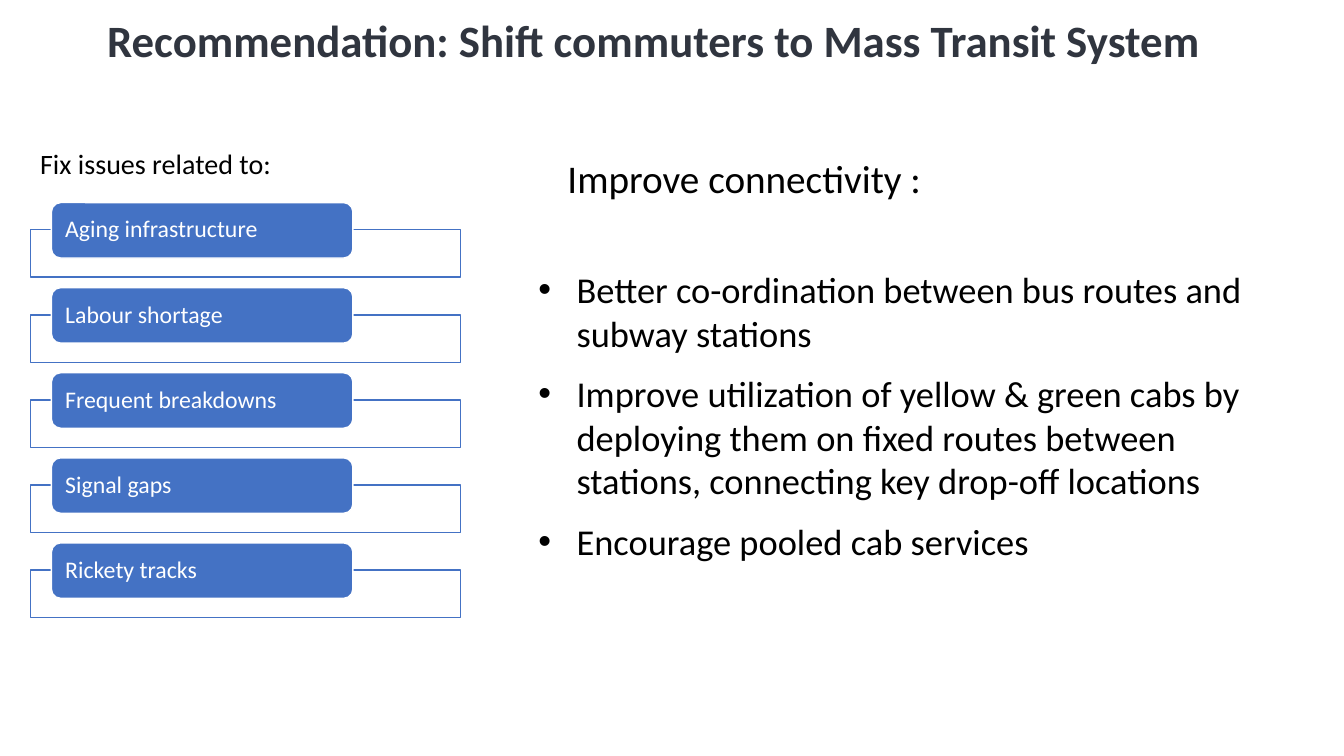
import pptx
import pptx.util
import pptx.dml.color
import pptx.enum.shapes
import pptx.enum.text
import pptx.oxml.ns
from lxml import etree

Inches = pptx.util.Inches
Pt = pptx.util.Pt
SHAPES = pptx.enum.shapes.MSO_SHAPE
ALIGN = pptx.enum.text.PP_ALIGN
ANCHOR = pptx.enum.text.MSO_ANCHOR
qn = pptx.oxml.ns.qn

FONT = "Calibri"
COLORS = {"title": "30353F", "body": "000000", "accent": "4472C4", "white": "FFFFFF"}

ISSUES = ["Aging infrastructure", "Labour shortage", "Frequent breakdowns",
          "Signal gaps", "Rickety tracks"]
ACTIONS = [
    "Better co-ordination between bus routes and subway stations",
    "Improve utilization of yellow & green cabs by deploying them on fixed routes "
    "between stations, connecting key drop-off locations",
    "Encourage pooled cab services",
]


def rgb(name):
    return pptx.dml.color.RGBColor.from_string(COLORS[name])


def add_bullet(para, indent):
    props = para._p.get_or_add_pPr()
    props.set("marL", str(Inches(indent)))
    props.set("indent", str(-Inches(indent)))
    etree.SubElement(props, qn("a:buFont")).set("typeface", "Arial")
    etree.SubElement(props, qn("a:buChar")).set("char", "•")


def write(shape, *texts, size, color="body", bold=False, align=ALIGN.LEFT,
          anchor=ANCHOR.TOP, insets=(0.1, 0.05), gap=0, spacing=None, bullet=None):
    """Fill a shape with one paragraph per text; gap is the space between them."""
    frame = shape.text_frame
    frame.word_wrap = True
    frame.vertical_anchor = anchor
    frame.margin_left = frame.margin_right = Inches(insets[0])
    frame.margin_top = frame.margin_bottom = Inches(insets[1])
    for index, text in enumerate(texts):
        para = frame.add_paragraph() if index else frame.paragraphs[0]
        para.alignment = align
        if spacing:
            para.line_spacing = spacing
        para.space_after = Pt(gap if index < len(texts) - 1 else 0)
        if bullet:
            add_bullet(para, bullet)
        span = para.add_run()
        span.text = text
        span.font.name = FONT
        span.font.size = Pt(size)
        span.font.bold = bold
        span.font.color.rgb = rgb(color)


def add_text(page, box, *texts, **style):
    write(page.shapes.add_textbox(*map(Inches, box)), *texts, **style)


def add_panel(page, kind, box, fill, line, opacity=100):
    panel = page.shapes.add_shape(kind, *map(Inches, box))
    panel.shadow.inherit = False
    panel.fill.solid()
    panel.fill.fore_color.rgb = rgb(fill)
    panel.line.color.rgb = rgb(line)
    panel.line.width = Pt(1)
    if opacity < 100:
        tint = panel._element.spPr.find(qn("a:solidFill"))[0]
        etree.SubElement(tint, qn("a:alpha")).set("val", str(opacity * 1000))
    return panel


def add_issues(page, box):
    """Heading above a column of pills, each overlapping an outlined frame."""
    left, top, width, height = box
    add_text(page, (left, top, 4.94, 0.44), "Fix issues related to:", size=20)
    first = top + 0.61
    pitch = (height - 0.61) / len(ISSUES)
    for index, issue in enumerate(ISSUES):
        row = first + index * pitch
        add_panel(page, SHAPES.RECTANGLE, (left, row + 0.27, width, 0.47),
                  "white", "accent", opacity=90)
        pill = add_panel(page, SHAPES.ROUNDED_RECTANGLE, (left + 0.21, row, 2.99, 0.55),
                         "accent", "white")
        write(pill, issue, size=17, color="white", anchor=ANCHOR.MIDDLE,
              insets=(0.11, 0), spacing=0.9)


def add_connectivity(page, box):
    left, top, width, height = box
    add_text(page, (left + 0.29, top, 4.94, 0.57), "Improve connectivity :", size=28)
    add_text(page, (left, top + 1.12, width, height - 1.12), *ACTIONS,
             size=26, gap=12, bullet=0.38)


def main():
    deck = pptx.Presentation()
    deck.slide_width = Inches(13.33)
    deck.slide_height = Inches(7.5)
    page = deck.slides.add_slide(deck.slide_layouts[6])
    add_text(page, (0.95, 0.13, 11.07, 0.54),
             "Recommendation: Shift commuters to Mass Transit System",
             size=32, color="title", bold=True, align=ALIGN.CENTER, insets=(0, 0))
    add_issues(page, (0.3, 1.4, 4.27, 4.83))
    add_connectivity(page, (5.24, 1.48, 7.55, 4.18))
    deck.save("out.pptx")


if __name__ == "__main__":
    main()
